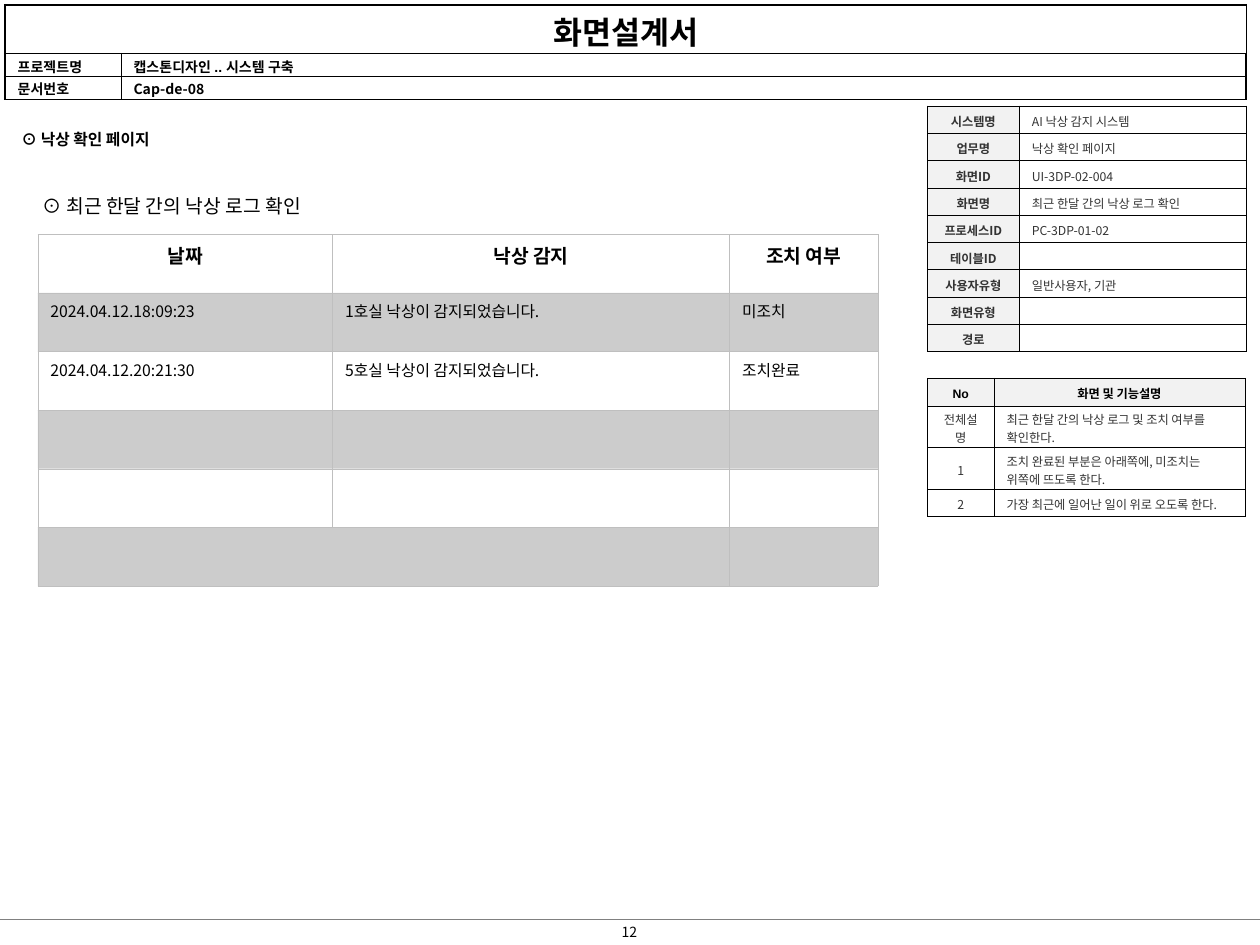
from dataclasses import dataclass

from lxml import etree
from pptx import Presentation
from pptx.dml.color import RGBColor
from pptx.enum import shapes, text
from pptx.oxml.ns import qn
from pptx.util import Inches, Pt


@dataclass(frozen=True)
class Theme:
    font: str = "Noto Sans CJK KR"
    latin: str = "Arial"
    ink: str = "000000"
    soft: str = "333333"
    head: str = "F2F2F2"
    white: str = "FFFFFF"
    grid: str = "BFBFBF"
    rule: str = "808080"
    banner: float = 18
    lead: float = 11
    body: float = 9
    meta: float = 8
    small: float = 7
    thin: float = 0.25
    thick: float = 1.5


T = Theme()
LEFT, MID = text.PP_ALIGN.LEFT, text.PP_ALIGN.CENTER
TOP, CENTER = text.MSO_ANCHOR.TOP, text.MSO_ANCHOR.MIDDLE
SIDES = ("L", "R", "T", "B")

INFO = [
    ("시스템명", "AI 낙상 감지 시스템"),
    ("업무명", "낙상 확인 페이지"),
    ("화면ID", "UI-3DP-02-004"),
    ("화면명", "최근 한달 간의 낙상 로그 확인"),
    ("프로세스ID", "PC-3DP-01-02"),
    ("테이블ID", ""),
    ("사용자유형", "일반사용자, 기관"),
    ("화면유형", ""),
    ("경로", ""),
]
NOTES = [
    ("No", "화면 및 기능설명"),
    ("전체설명", "최근 한달 간의 낙상 로그 및 조치 여부를 확인한다."),
    ("1", "조치 완료된 부분은 아래쪽에, 미조치는 위쪽에 뜨도록 한다."),
    ("2", "가장 최근에 일어난 일이 위로 오도록 한다."),
]
LOG = [
    ("날짜", "낙상 감지", "조치 여부"),
    ("2024.04.12.18:09:23", "1호실 낙상이 감지되었습니다.", "미조치"),
    ("2024.04.12.20:21:30", "5호실 낙상이 감지되었습니다.", "조치완료"),
    ("", "", ""),
    ("", "", ""),
    ("", "", ""),
]
META = [
    ("화면설계서", ""),
    ("프로젝트명", "캡스톤디자인 .. 시스템 구축"),
    ("문서번호", "Cap-de-08"),
]


def write(frame, words, size, color=T.ink, bold=False, align=LEFT, font=T.font):
    """Fill a text frame with one styled paragraph, which may be empty."""
    frame.text = words
    para = frame.paragraphs[0]
    para.alignment = align
    for run in para.runs:
        face = run.font
        face.size, face.bold, face.name = Pt(size), bold, font
        face.color.rgb = RGBColor.from_string(color)
        etree.SubElement(run._r.rPr, qn("a:ea"), typeface=T.font)
    if not words:
        etree.SubElement(para._p, qn("a:endParaRPr"), sz=str(size * 100))


def place(shape, x, y, w, h):
    shape.left, shape.top = Inches(x), Inches(y)
    shape.width, shape.height = Inches(w), Inches(h)


def fit(frame, wrap=False):
    frame.word_wrap = wrap
    frame.auto_size = text.MSO_AUTO_SIZE.NONE
    frame.vertical_anchor = TOP
    frame.margin_left = frame.margin_right = Inches(0.1)
    frame.margin_top = frame.margin_bottom = Inches(0.05)


def label(slide, words, box, size, align=LEFT):
    shape = slide.shapes.add_textbox(*map(Inches, box))
    fit(shape.text_frame, wrap=align == MID)
    write(shape.text_frame, words, size, align=align)


def edge(cell, side, color, width):
    props = cell._tc.get_or_add_tcPr()
    line = etree.SubElement(props, qn(f"a:ln{side}"), w=str(Pt(width)))
    fill = etree.SubElement(line, qn("a:solidFill"))
    etree.SubElement(fill, qn("a:srgbClr"), val=color)


def paint(cell, color, alpha=None):
    if color is None:
        cell.fill.background()
        return
    cell.fill.solid()
    cell.fill.fore_color.rgb = RGBColor.from_string(color)
    if alpha:
        tone = cell._tc.tcPr.find(qn("a:solidFill"))[0]
        etree.SubElement(tone, qn("a:alpha"), val=str(alpha * 1000))


def grid(slide, rows, at, cols, highs, style, color=T.ink, frame=T.thin):
    """Draw a table; style(row, col) gives the text, fill and cell options."""
    x, y = at
    table = slide.shapes.add_table(
        len(rows), len(cols), Inches(x), Inches(y),
        Inches(sum(cols)), Inches(sum(highs))).table
    table.first_row = table.horz_banding = False
    for col, wide in zip(table.columns, cols):
        col.width = Inches(wide)
    for row, high in zip(table.rows, highs):
        row.height = Inches(high)
    for r, line in enumerate(rows):
        for c, words in enumerate(line):
            cell = table.cell(r, c)
            look, fill, pad, anchor = style(r, c)
            outer = {"L": c == 0, "R": c == len(cols) - 1, "T": r == 0}
            for side in SIDES:
                edge(cell, side, color, frame if outer.get(side) else T.thin)
            paint(cell, *fill)
            cell.margin_top, cell.margin_bottom = map(Inches, pad)
            cell.vertical_anchor = anchor
            write(cell.text_frame, words, **look)
    return table


def meta_look(r, c):
    size = T.banner if r == 0 else T.meta
    face = T.latin if r and (r, c) != (2, 1) else T.font
    look = dict(size=size, bold=True, align=LEFT if r else MID, font=face)
    return look, (T.white,), (0.02, 0), TOP


def info_look(r, c):
    look = dict(size=T.small, color=T.soft, bold=c == 0,
                align=LEFT if c else MID)
    return look, (None if c else T.head,), (0.04, 0.01), CENTER


def note_look(r, c):
    top = r == 0
    look = dict(size=T.small, color=T.ink if top else T.soft, bold=top,
                align=MID if top or c == 0 else LEFT,
                font=T.latin if top else T.font)
    return look, (T.head if top else None,), (0.04, 0.01), CENTER


def log_look(r, c):
    top = r == 0
    look = dict(size=T.body if r else T.lead, bold=top,
                align=MID if top else LEFT)
    return look, (T.ink, 20) if r % 2 else (None,), (0.05, 0.05), TOP


def footer(slide, number):
    y = Inches(7.3)
    line = slide.shapes.add_connector(
        shapes.MSO_CONNECTOR.STRAIGHT, 0, y, Inches(10), y)
    line.line.color.rgb = RGBColor.from_string(T.rule)
    line.line.width = Pt(0.75)
    etree.SubElement(line._element.spPr, qn("a:effectLst"))
    label(slide, number, (4.72, 7.28, 0.55, 0.24), T.meta, MID)


def main():
    deck = Presentation()
    deck.slide_width, deck.slide_height = Inches(10), Inches(7.5)
    slide = deck.slides.add_slide(deck.slide_layouts[5])
    footer(slide, "12")

    meta = grid(slide, META, (0.04, 0.04), (0.92, 8.93), (0.38, 0.17, 0.17),
                meta_look, frame=T.thick)
    meta.cell(0, 0).merge(meta.cell(0, 1))

    title = slide.shapes.title
    place(title, 0.07, 0.98, 1.32, 0.25)
    fit(title.text_frame)
    write(title.text_frame, "⊙ 낙상 확인 페이지", T.body, bold=True)

    grid(slide, NOTES, (7.36, 3), (0.53, 1.99), (0.22, 0.33, 0.33, 0.22),
         note_look)
    grid(slide, INFO, (7.36, 0.84), (0.73, 1.8), [1.95 / len(INFO)] * len(INFO),
         info_look)

    label(slide, "⊙ 최근 한달 간의 낙상 로그 확인", (0.24, 1.49, 2.51, 0.29), T.lead)
    log = grid(slide, LOG, (0.3, 1.86), (2.34, 3.15, 1.18),
               [2.79 / len(LOG)] * len(LOG), log_look, T.grid)
    log.cell(5, 0).merge(log.cell(5, 1))

    deck.save("out.pptx")


if __name__ == "__main__":
    main()
